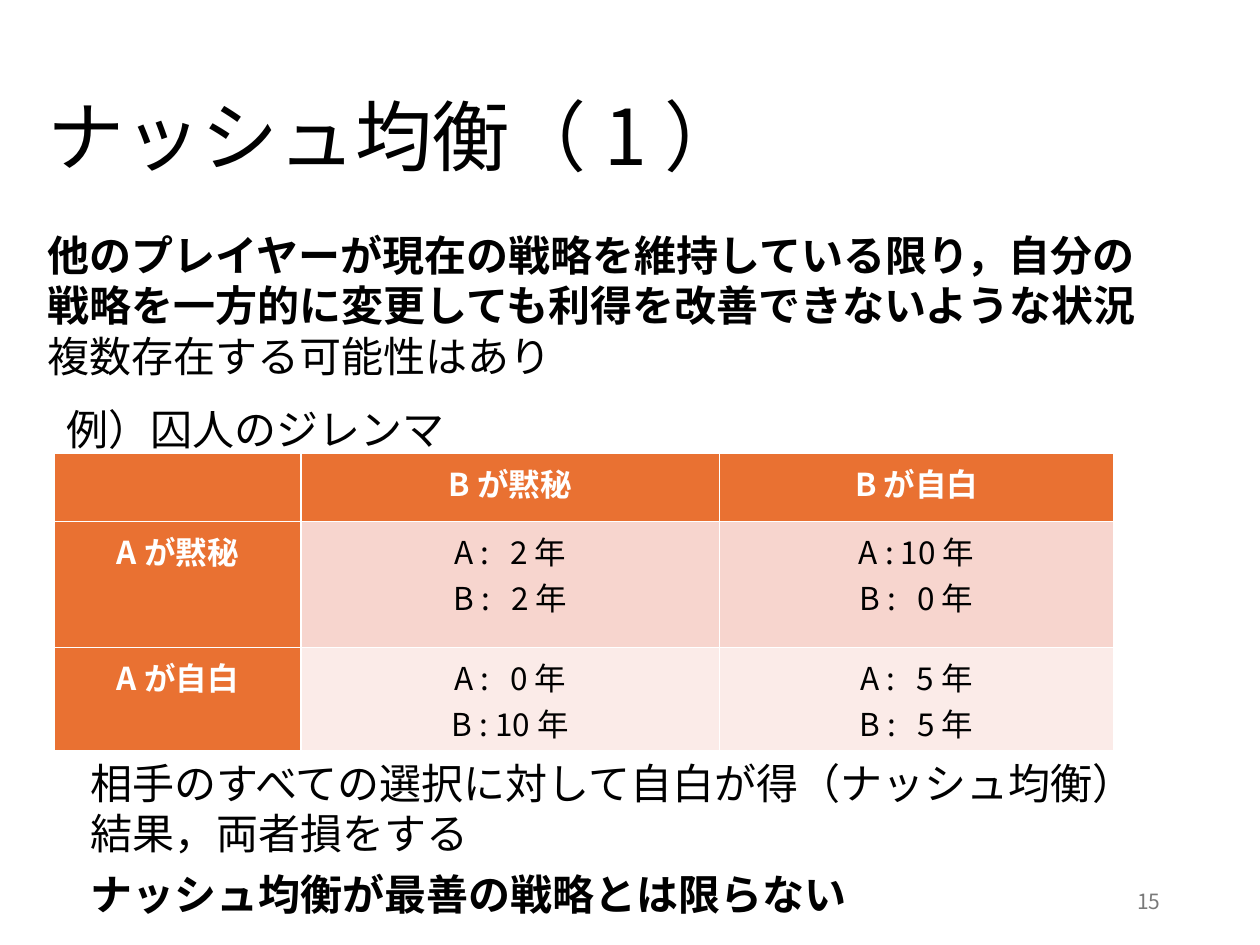
"""Build the slide on the Nash equilibrium with the prisoner's dilemma table."""
from lxml import etree
from pptx import Presentation
from pptx.dml.color import RGBColor
from pptx.enum.lang import MSO_LANGUAGE_ID
from pptx.enum.text import MSO_ANCHOR, MSO_AUTO_SIZE, PP_ALIGN
from pptx.oxml.ns import qn
from pptx.util import Inches, Pt

LEFT, CENTER, RIGHT = PP_ALIGN.LEFT, PP_ALIGN.CENTER, PP_ALIGN.RIGHT
TOP, MIDDLE = MSO_ANCHOR.TOP, MSO_ANCHOR.MIDDLE
NO_FIT = MSO_AUTO_SIZE.NONE
JAPANESE = MSO_LANGUAGE_ID.JAPANESE
FONT = "Noto Sans CJK JP"
COLORS = {
    "ink": "000000",
    "number": "797979",
    "white": "FFFFFF",
    "heading": "E97132",
    "silent": "F7D5CE",
    "confess": "FBEBE8",
}


def write(frame, text, size=24, color="ink", bold_lines=0, align=LEFT, spacing=1.0):
    frame.text = text
    for index, paragraph in enumerate(frame.paragraphs):
        paragraph.alignment = align
        paragraph.line_spacing = spacing
        for run in paragraph.runs:
            run.font.size = Pt(size)
            run.font.bold = index < bold_lines
            run.font.color.rgb = RGBColor.from_string(COLORS[color])
            run.font.language_id = JAPANESE
            run.font.name = FONT
            east_asian = etree.Element(qn("a:ea"), typeface=FONT)
            run.font._element.find(qn("a:latin")).addnext(east_asian)


deck = Presentation()
deck.slide_width, deck.slide_height = Inches(10), Inches(7.5)
slide = deck.slides.add_slide(deck.slide_layouts[5])

title = slide.shapes.title
title.left, title.top, title.width, title.height = map(Inches, (0.28, 0.39, 8.62, 1.45))
title.text_frame.auto_size = NO_FIT
title.text_frame.vertical_anchor = MIDDLE
write(title.text_frame, "ナッシュ均衡（ 1 ）", size=44, spacing=0.9)

passages = [
    ((0.28, 1.77, 9.03, 1.31), TOP,
     "他のプレイヤーが現在の戦略を維持している限り，自分の戦略を一方的に変更しても利得を改善できないような状況\n"
     "複数存在する可能性はあり", {"bold_lines": 1}),
    ((0.43, 3.15, 3.33, 0.5), TOP, "例）囚人のジレンマ", {}),
    ((0.62, 5.96, 8.92, 0.91), TOP,
     "相手のすべての選択に対して自白が得（ナッシュ均衡）\n結果，両者損をする", {}),
    ((0.62, 6.84, 6.69, 0.5), TOP, "ナッシュ均衡が最善の戦略とは限らない", {"bold_lines": 1}),
    ((7.06, 6.95, 2.25, 0.4), MIDDLE, "15", {"size": 12, "color": "number", "align": RIGHT}),
]
for place, anchor, passage, style in passages:
    frame = slide.shapes.add_textbox(*map(Inches, place)).text_frame
    frame.word_wrap = True
    frame.vertical_anchor = anchor
    write(frame, passage, **style)

choices = ["黙秘", "自白"]
sentences = [[(2, 2), (10, 0)], [(0, 10), (5, 5)]]
column_widths = [1.96, 3.32, 3.13]
row_heights = [0.54, 1, 0.82]
payoffs = slide.shapes.add_table(
    3, 3, Inches(0.43), Inches(3.6), Inches(sum(column_widths)), Inches(sum(row_heights))
).table
for column, width in zip(payoffs.columns, column_widths):
    column.width = Inches(width)
for row, height in zip(payoffs.rows, row_heights):
    row.height = Inches(height)

entries = [["", *(f"B が{choice}" for choice in choices)]]
for choice, outcomes in zip(choices, sentences):
    entries.append([f"A が{choice}"])
    for outcome in outcomes:
        years_lines = [
            f"{prisoner} : {years:>{3 if years < 10 else 2}} 年"
            for prisoner, years in zip("AB", outcome)
        ]
        entries[-1].append("\n".join(years_lines))

for r, row_entries in enumerate(entries):
    for c, entry in enumerate(row_entries):
        heading = r == 0 or c == 0
        fill = "heading" if heading else ("silent", "confess")[r - 1]
        cell = payoffs.cell(r, c)
        cell.fill.solid()
        cell.fill.fore_color.rgb = RGBColor.from_string(COLORS[fill])
        write(cell.text_frame, entry, size=18, color="white" if heading else "ink",
              bold_lines=int(heading), align=CENTER)

deck.save("out.pptx")
